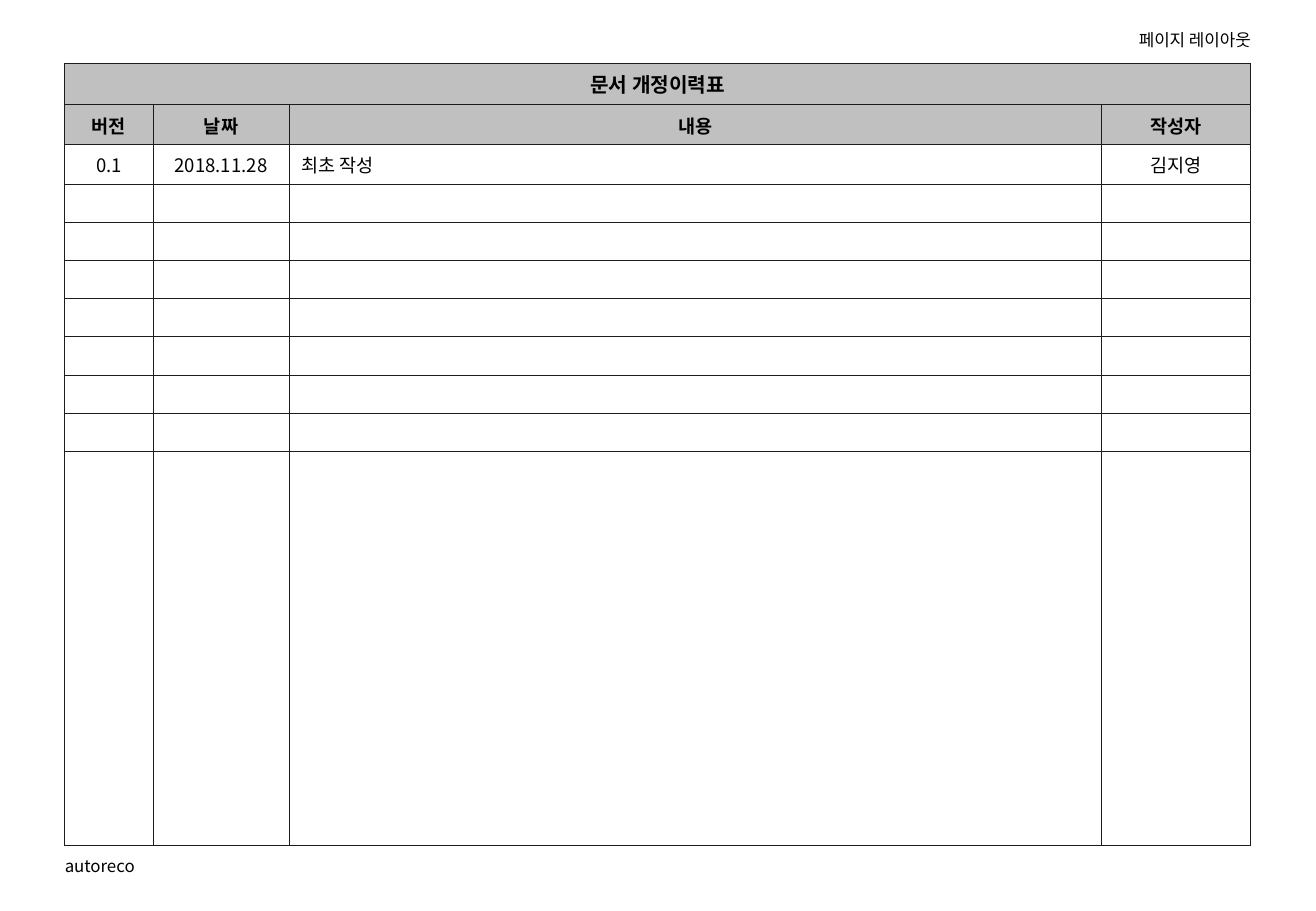
from dataclasses import dataclass

from lxml.etree import SubElement
from pptx import Presentation
from pptx.dml.color import RGBColor
from pptx.enum.text import MSO_ANCHOR, PP_ALIGN
from pptx.oxml.ns import qn
from pptx.table import Table, _Cell
from pptx.text.text import TextFrame
from pptx.util import Pt


@dataclass(frozen=True)
class Theme:
    """Colours, font and type sizes of the slide."""
    font: str = "Noto Sans CJK KR"
    ink: str = "000000"
    head: str = "C0C0C0"
    paper: str = "FFFFFF"
    rule: str = "1C1C1C"
    width: float = 0.45
    title: float = 12
    body: float = 11
    note: float = 10


@dataclass(frozen=True)
class Row:
    """One table row: its texts, height and look."""
    texts: tuple[str, ...]
    height: float
    size: float
    head: bool = False


THEME = Theme()
LEFT, TOP, WIDTH = 38.4, 37.5, 703.4
COLS = (52.4, 80.7, 481.9, 88.4)
BLANK = ("",) * len(COLS)
ROWS = [
    Row(("문서 개정이력표", "", "", ""), 24.3, THEME.title, True),
    Row(("버전", "날짜", "내용", "작성자"), 23.7, THEME.body, True),
    Row(("0.1", "2018.11.28", "최초 작성", "김지영"), 23.1, THEME.body),
    *[Row(BLANK, 22.65, THEME.body)] * 7,
    Row(BLANK, 233.7, THEME.body),
]


def write(frame: TextFrame, text: str, *, size: float, bold: bool = False,
          align: PP_ALIGN = PP_ALIGN.LEFT) -> None:
    """Put one formatted paragraph in a text frame."""
    line = frame.paragraphs[0]
    line.alignment = align
    if not text:
        line._p.get_or_add_endParaRPr().set("sz", str(int(size * 100)))
        return
    run = line.add_run()
    run.text = text
    run.font.size = Pt(size)
    run.font.bold = bold
    run.font.color.rgb = RGBColor.from_string(THEME.ink)
    run.font.name = THEME.font
    SubElement(run._r.get_or_add_rPr(), qn("a:ea"), typeface=THEME.font)


def trim(frame: TextFrame) -> None:
    """Clear the insets and wrap the text from the top."""
    frame.margin_left = frame.margin_right = 0
    frame.margin_top = frame.margin_bottom = 0
    frame.word_wrap = True
    frame.vertical_anchor = MSO_ANCHOR.TOP


def border(cell: _Cell) -> None:
    """Rule all four sides of a cell."""
    props = cell._tc.get_or_add_tcPr()
    for side in ("lnL", "lnR", "lnT", "lnB"):
        line = SubElement(props, qn(f"a:{side}"), w=str(Pt(THEME.width)))
        fill = SubElement(line, qn("a:solidFill"))
        SubElement(fill, qn("a:srgbClr"), val=THEME.rule)


def fill_row(table: Table, index: int, row: Row) -> None:
    """Format and fill one row of the table."""
    table.rows[index].height = Pt(row.height)
    for col, text in enumerate(row.texts):
        cell = table.cell(index, col)
        border(cell)
        cell.fill.solid()
        cell.fill.fore_color.rgb = RGBColor.from_string(
            THEME.head if row.head else THEME.paper)
        cell.vertical_anchor = MSO_ANCHOR.MIDDLE
        left = col == 2 and not row.head
        write(cell.text_frame, text, size=row.size, bold=row.head,
              align=PP_ALIGN.LEFT if left else PP_ALIGN.CENTER)


def main() -> None:
    """Build the revision history slide."""
    deck = Presentation()
    deck.slide_width, deck.slide_height = Pt(780.48), Pt(540)
    slide = deck.slides.add_slide(deck.slide_layouts[5])

    title = slide.shapes.title
    title.left, title.top = Pt(LEFT + WIDTH - 230), Pt(17.5)
    title.width, title.height = Pt(230), Pt(14.5)
    trim(title.text_frame)
    write(title.text_frame, "페이지 레이아웃", size=THEME.note,
          align=PP_ALIGN.RIGHT)

    high = sum(row.height for row in ROWS)
    table = slide.shapes.add_table(len(ROWS), len(COLS), Pt(LEFT), Pt(TOP),
                                   Pt(WIDTH), Pt(high)).table
    table.first_row = table.horz_banding = False
    for col, width in zip(table.columns, COLS):
        col.width = Pt(width)
    for index, row in enumerate(ROWS):
        fill_row(table, index, row)
    table.cell(0, 0).merge(table.cell(0, len(COLS) - 1))

    foot = slide.shapes.add_textbox(Pt(LEFT), Pt(507), Pt(256), Pt(14.5))
    trim(foot.text_frame)
    write(foot.text_frame, "autoreco", size=THEME.note)
    deck.save("out.pptx")


if __name__ == "__main__":
    main()
